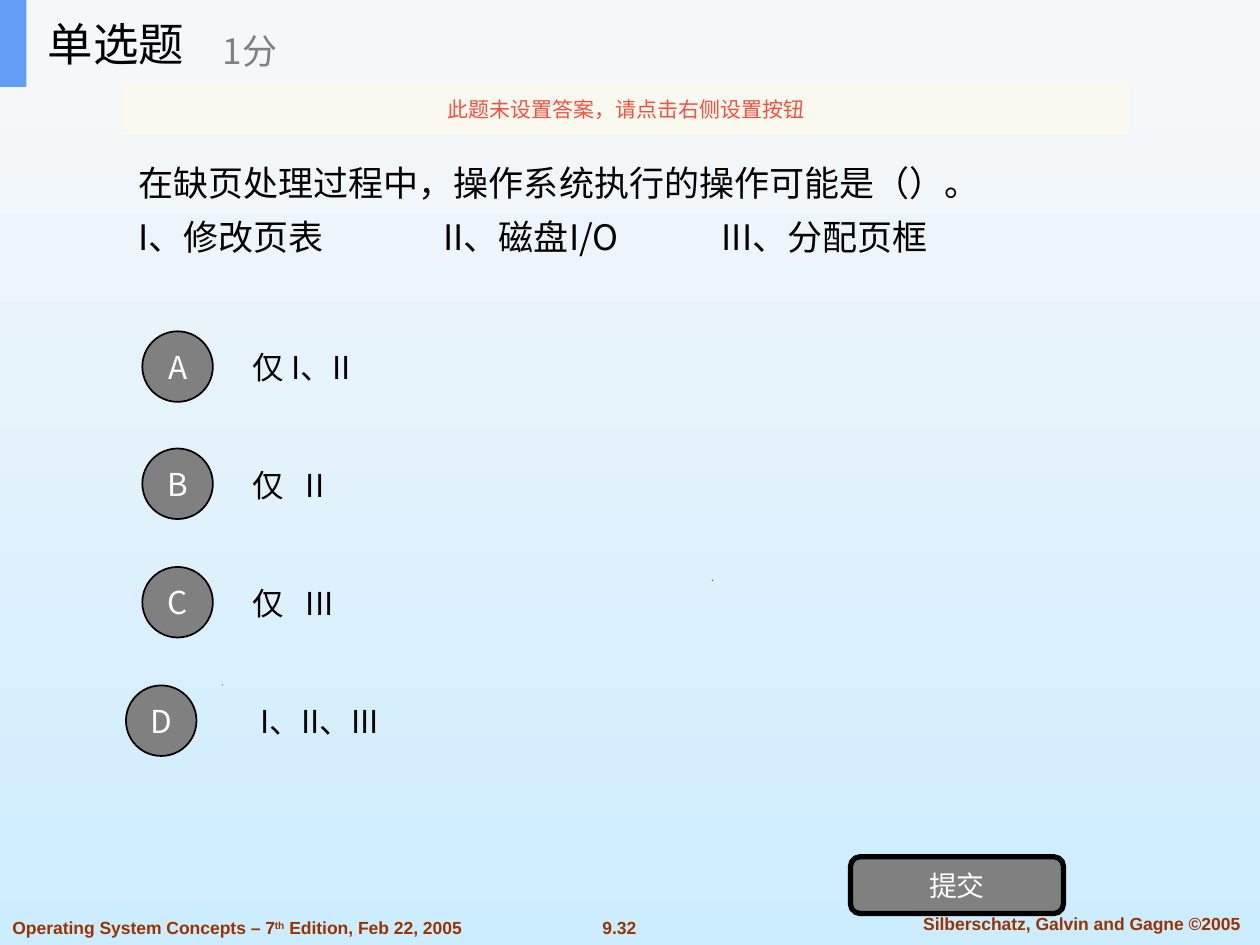
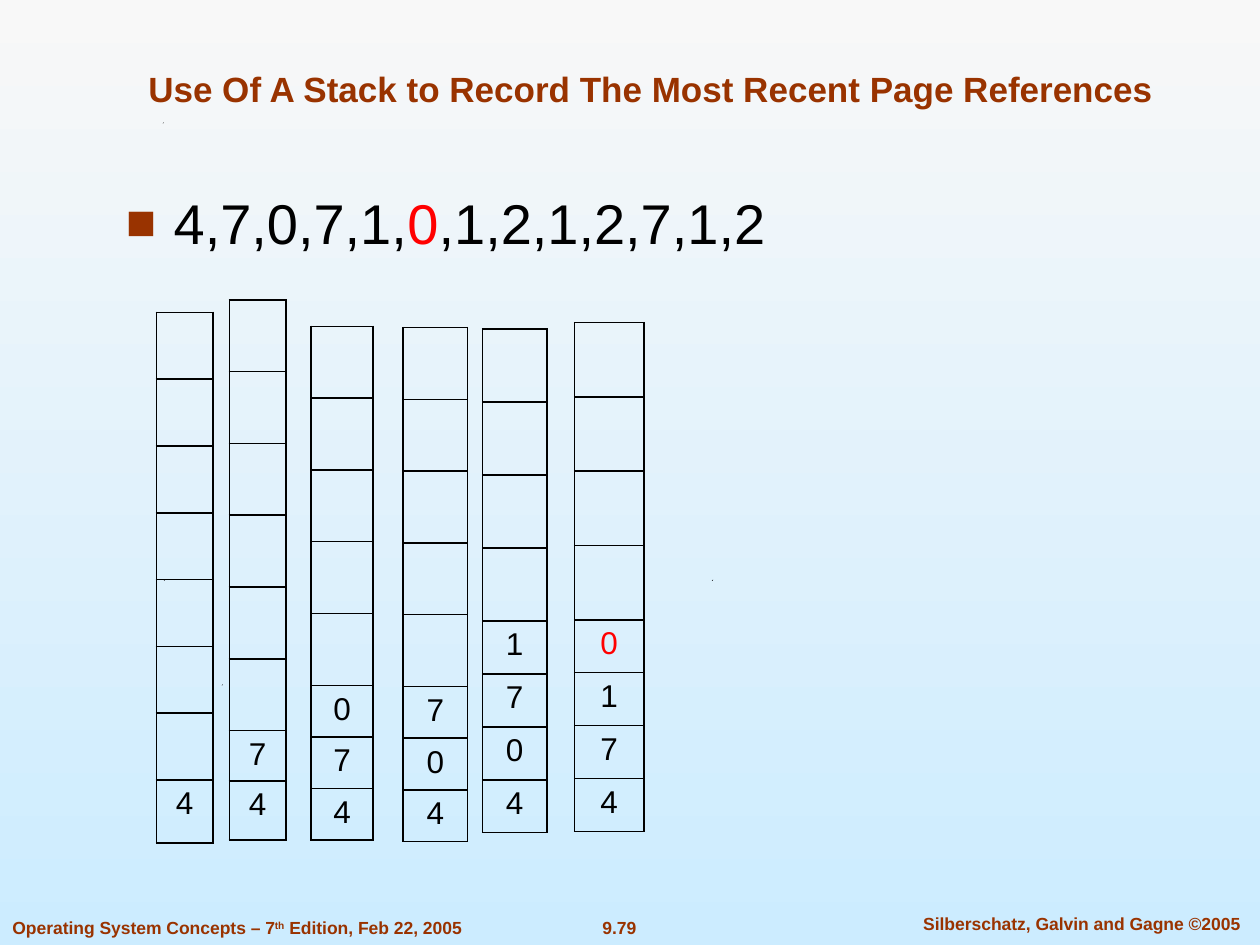
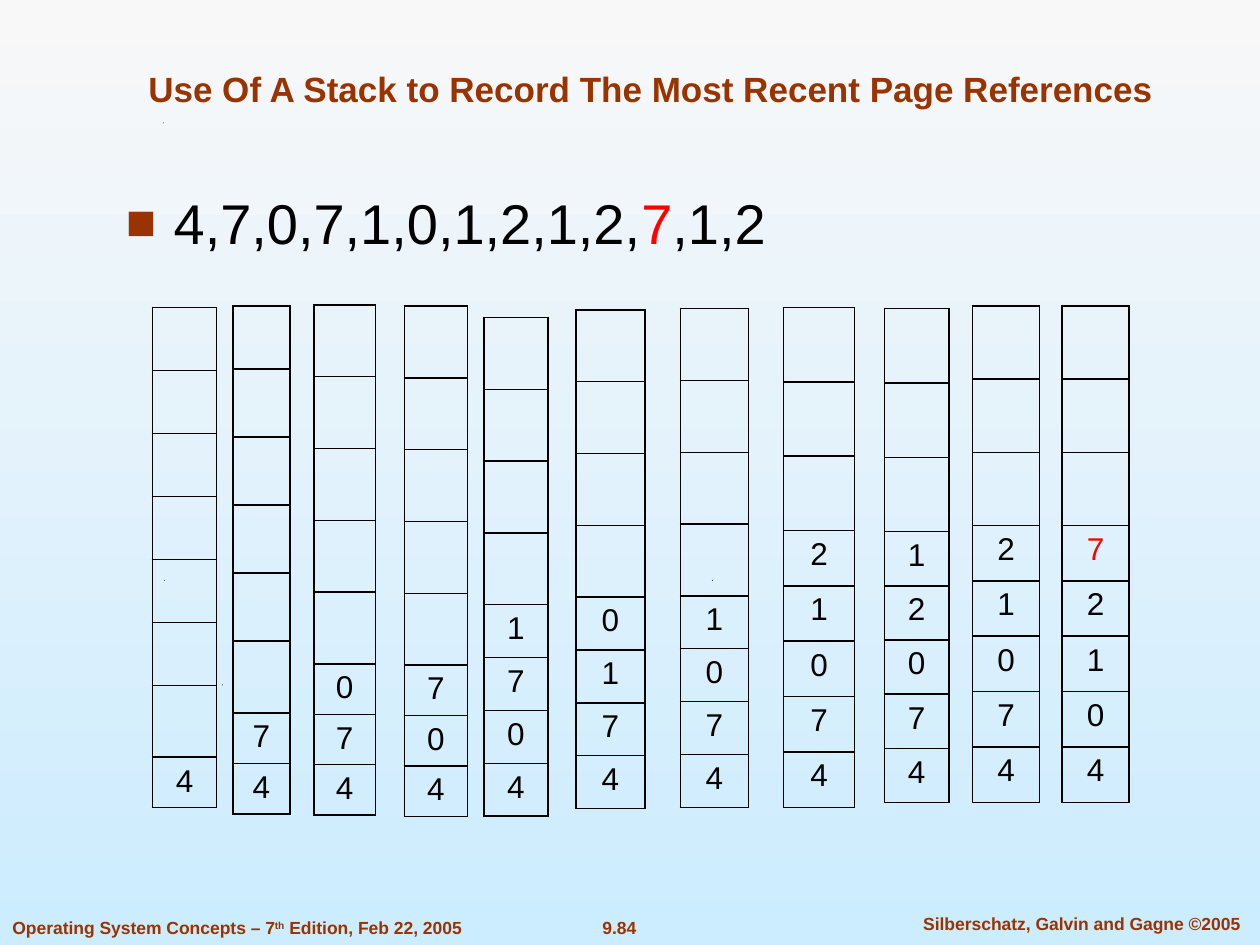
from dataclasses import dataclass, field
from typing import Any

from lxml.etree import SubElement
from pptx import Presentation
from pptx.dml.color import RGBColor
from pptx.enum.shapes import MSO_SHAPE as Shape
from pptx.enum.text import MSO_ANCHOR as Anchor, PP_ALIGN as Align
from pptx.oxml import parse_xml
from pptx.oxml.ns import nsdecls, qn
from pptx.util import Inches, Pt

LATIN, CJK = "Arial", "Noto Sans CJK SC"
BLACK, WHITE, GRAY, RED, RUST = "000000", "FFFFFF", "808080", "FF0000", "993300"
SKY_TOP, SKY_BOTTOM = "F8F8F8", "CCECFF"
BAND, ACCENT, NOTICE_FILL, NOTICE_TEXT = "F6F7F8", "639EF4", "FBFAEF", "F84F41"

REFERENCES = [4, 7, 0, 7, 1, 0, 1, 2, 1, 2, 7, 1, 2]
STACK_ROWS = 8
STACK_TITLE = "Use Of A Stack to Record The Most Recent Page References"
SPECKS = [(1.76, 5.43), (1.3, 4.6), (5.65, 4.6), (1.29, 0.97)]


@dataclass(frozen=True)
class Box:
    left: float
    top: float
    width: float
    height: float

    def emu(self) -> list[int]:
        return [Inches(v) for v in (self.left, self.top, self.width, self.height)]


@dataclass(frozen=True)
class Style:
    size: float
    font: str = LATIN
    color: str = BLACK
    bold: bool = False


@dataclass(frozen=True)
class Option:
    letter: str
    badge_left: float
    badge_top: float
    answer: str
    indent: float = 0


@dataclass(frozen=True)
class Stack:
    """Place of one stack; odd_rows holds the rows that break the two heights."""
    left: float
    top: float
    width: float
    empty_height: float
    filled_height: float
    odd_rows: dict[int, float] = field(default_factory=dict)


@dataclass(frozen=True)
class StackSlide:
    number: str
    stacks: list[Stack]


FOOTER = Style(10, color=RUST, bold=True)
TITLE = Style(20, color=RUST, bold=True)
SEQUENCE = Style(32)
PAGE = Style(18)
ANSWER = Style(18, CJK)
BADGE = Style(18, CJK, WHITE)

QUESTION = [
    "在缺页处理过程中，操作系统执行的操作可能是（）。",
    "I、修改页表\tII、磁盘I/O\tIII、分配页框",
]
OPTIONS = [
    Option("A", 1.13, 2.63, "仅 I、II"),
    Option("B", 1.13, 3.56, "仅\tII"),
    Option("C", 1.13, 4.5, "仅\tIII"),
    Option("D", 1, 5.44, "I、II、III", indent=0.06),
]
STACK_SLIDES = [
    StackSlide("9.79", [
        Stack(1.24, 2.48, 0.45, 0.53, 0.5),
        Stack(1.82, 2.38, 0.45, 0.57, 0.4, {7: 0.47}),
        Stack(2.47, 2.59, 0.49, 0.57, 0.41),
        Stack(3.2, 2.6, 0.51, 0.57, 0.41),
        Stack(3.83, 2.61, 0.51, 0.58, 0.42),
        Stack(4.56, 2.56, 0.55, 0.59, 0.42),
    ]),
    StackSlide("9.84", [
        Stack(1.21, 2.44, 0.51, 0.5, 0.4, {6: 0.57}),
        Stack(1.85, 2.43, 0.45, 0.54, 0.4, {0: 0.5, 5: 0.57}),
        Stack(2.49, 2.42, 0.49, 0.57, 0.4),
        Stack(3.21, 2.43, 0.5, 0.57, 0.4),
        Stack(3.84, 2.52, 0.51, 0.57, 0.42),
        Stack(4.57, 2.46, 0.55, 0.57, 0.42),
        Stack(5.4, 2.45, 0.54, 0.57, 0.42),
        Stack(6.22, 2.44, 0.56, 0.59, 0.44),
        Stack(7.02, 2.45, 0.51, 0.59, 0.43),
        Stack(7.72, 2.43, 0.53, 0.58, 0.44),
        Stack(8.43, 2.43, 0.53, 0.58, 0.44),
    ]),
]


def rgb(color: str) -> RGBColor:
    return RGBColor.from_string(color)


def apply(target: Any, values: dict[str, Any]) -> None:
    for name, value in values.items():
        setattr(target, name, value)


def add_run(paragraph, text: str, style: Style, color: str | None = None):
    run = paragraph.add_run()
    run.text = text
    apply(run.font, {"name": style.font, "size": Pt(style.size), "bold": style.bold})
    run.font.color.rgb = rgb(color or style.color)
    SubElement(run.font._element, qn("a:ea"), typeface=style.font)
    return run


def add_tabs(paragraph, *stops: float) -> None:
    tabs = SubElement(paragraph._p.get_or_add_pPr(), qn("a:tabLst"))
    for stop in stops:
        SubElement(tabs, qn("a:tab"), pos=str(Inches(stop)), algn="l")


def add_text(slide, box: Box, text: str, style: Style,
             align=Align.LEFT, anchor=Anchor.MIDDLE):
    """Add a one-paragraph text box and return its frame."""
    frame = slide.shapes.add_textbox(*box.emu()).text_frame
    apply(frame, {"word_wrap": True, "vertical_anchor": anchor})
    paragraph = frame.paragraphs[0]
    paragraph.alignment = align
    if text:
        add_run(paragraph, text, style)
    return frame


def add_panel(slide, kind, box: Box, fill: str, line_width: float = 0,
              label: str = "", style: Style = BADGE):
    panel = slide.shapes.add_shape(kind, *box.emu())
    panel.shadow.inherit = False
    panel.fill.solid()
    panel.fill.fore_color.rgb = rgb(fill)
    if line_width:
        panel.line.color.rgb = rgb(BLACK)
        panel.line.width = Pt(line_width)
    else:
        panel.line.fill.background()
    if label:
        frame = panel.text_frame
        apply(frame, {"word_wrap": True, "vertical_anchor": Anchor.MIDDLE,
                      "margin_left": 0, "margin_right": 0})
        frame.paragraphs[0].alignment = Align.CENTER
        add_run(frame.paragraphs[0], label, style)
    return panel


def set_background(deck) -> None:
    fill = deck.slide_master.background.fill
    fill.gradient()
    fill.gradient_angle = 270
    for stop, position, color in zip(fill.gradient_stops, (0, 1), (SKY_TOP, SKY_BOTTOM)):
        stop.position = position
        stop.color.rgb = rgb(color)


def add_page(deck, number: str):
    """Add a blank slide with the shared footer and specks."""
    slide = deck.slides.add_slide(deck.slide_layouts[6])
    add_text(slide, Box(4.62, 7.23, 0.59, 0.27), number, FOOTER, Align.CENTER, Anchor.TOP)
    for left, top in SPECKS:
        x, y, side = Inches(left), Inches(top), Inches(0.01)
        outline = slide.shapes.build_freeform(x, y + side)
        outline.add_line_segments([(x + side, y), (x + side // 2, y + side)])
        speck = outline.convert_to_shape()
        speck.shadow.inherit = False
        speck.fill.solid()
        speck.fill.fore_color.rgb = rgb(BLACK)
        speck.line.fill.background()
    add_text(slide, Box(7.1, 7.2, 2.97, 0.27), "Silberschatz, Galvin and Gagne ©2005",
             FOOTER, Align.CENTER, Anchor.TOP)
    edition = add_text(slide, Box(0, 7.23, 3.78, 0.27), "Operating System Concepts – 7",
                       FOOTER, anchor=Anchor.TOP).paragraphs[0]
    add_run(edition, "th", FOOTER).font._element.set("baseline", "30000")
    add_run(edition, " Edition, Feb 22, 2005", FOOTER)
    return slide


def add_question_header(slide) -> None:
    add_panel(slide, Shape.RECTANGLE, Box(0, 0, 10, 0.69), BAND)
    add_panel(slide, Shape.RECTANGLE, Box(0, 0, 0.21, 0.69), ACCENT)
    add_text(slide, Box(0.28, 0, 2.08, 0.69), "单选题", Style(26, CJK))
    add_text(slide, Box(1.67, 0.12, 2.5, 0.56), "1分", Style(20, CJK, GRAY))
    notice = add_panel(slide, Shape.RECTANGLE, Box(0.97, 0.67, 8, 0.4), NOTICE_FILL,
                       label="此题未设置答案，请点击右侧设置按钮",
                       style=Style(12, CJK, NOTICE_TEXT))
    tint = notice._element.spPr.find(qn("a:solidFill"))[0]
    SubElement(tint, qn("a:alpha"), val="90000")


def add_question_slide(deck) -> None:
    slide = add_page(deck, "9.32")
    stem = Style(20, CJK)
    frame = add_text(slide, Box(1, 0.93, 7.87, 1.46), QUESTION[0], stem)
    choices = frame.add_paragraph()
    add_tabs(choices, 2.42, 4.63)
    add_run(choices, QUESTION[1], stem)
    choices.space_before = Pt(6)
    for paragraph in frame.paragraphs:
        paragraph.line_spacing = Pt(24.5)

    for row, option in enumerate(OPTIONS):
        answer = add_text(slide, Box(1.91, 2.56 + row * 0.937, 7, 0.7), option.answer, ANSWER)
        paragraph = answer.paragraphs[0]
        add_tabs(paragraph, 0.42)
        paragraph._p.get_or_add_pPr().set("marL", str(Inches(option.indent)))
        add_panel(slide, Shape.OVAL, Box(option.badge_left, option.badge_top, 0.56, 0.56),
                  GRAY, 1, option.letter)
    add_panel(slide, Shape.ROUNDED_RECTANGLE, Box(6.75, 6.8, 1.69, 0.45), GRAY, 3,
              "提交", Style(16, CJK, WHITE))
    add_question_header(slide)


def add_sequence(slide, current: int) -> None:
    """Write the reference string with the current reference in red."""
    frame = add_text(slide, Box(0.9, 1.4, 8.04, 0.73), "", SEQUENCE, anchor=Anchor.TOP)
    frame.margin_top = Inches(0.1)
    paragraph = frame.paragraphs[0]
    properties = paragraph._p.get_or_add_pPr()
    properties.set("marL", str(Inches(0.38)))
    properties.set("indent", str(-Inches(0.38)))
    SubElement(SubElement(properties, qn("a:buClr")), qn("a:srgbClr"), val=RUST)
    SubElement(properties, qn("a:buSzPct"), val="90000")
    SubElement(properties, qn("a:buFont"), typeface=LATIN)
    SubElement(properties, qn("a:buChar"), char="■")
    pages = [str(page) for page in REFERENCES]
    add_run(paragraph, ",".join(pages[:current]) + ",", SEQUENCE)
    add_run(paragraph, pages[current], SEQUENCE, RED)
    add_run(paragraph, "," + ",".join(pages[current + 1:]), SEQUENCE)


def recent_pages(count: int) -> list[int]:
    """Return the stack, most recent page first, after count references."""
    pages: list[int] = []
    for page in REFERENCES[:count]:
        pages = [page] + [other for other in pages if other != page]
    return pages


def add_borders(cell) -> None:
    properties = cell._tc.get_or_add_tcPr()
    for index, side in enumerate("LRTB"):
        properties.insert(index, parse_xml(
            f'<a:ln{side} {nsdecls("a")} w="{Pt(1)}"><a:solidFill>'
            f'<a:srgbClr val="{BLACK}"/></a:solidFill></a:ln{side}>'))


def add_stack(slide, stack: Stack, pages: list[int], top_color: str) -> None:
    empty = STACK_ROWS - len(pages)
    heights = [stack.odd_rows.get(row, stack.empty_height if row < empty else stack.filled_height)
               for row in range(STACK_ROWS)]
    box = Box(stack.left, stack.top, stack.width, sum(heights))
    table = slide.shapes.add_table(STACK_ROWS, 1, *box.emu()).table
    apply(table, {"first_row": False, "horz_banding": False})
    for row, height in enumerate(heights):
        table.rows[row].height = Inches(height)
        cell = table.cell(row, 0)
        cell.fill.background()
        add_borders(cell)
        if row >= empty:
            paragraph = cell.text_frame.paragraphs[0]
            paragraph.alignment = Align.CENTER
            add_run(paragraph, str(pages[row - empty]), PAGE,
                    top_color if row == empty else BLACK)


def add_stack_slide(deck, content: StackSlide) -> None:
    slide = add_page(deck, content.number)
    add_text(slide, Box(0.75, 0.25, 8.83, 0.67), STACK_TITLE, TITLE, Align.CENTER, Anchor.BOTTOM)
    steps = len(content.stacks)
    add_sequence(slide, steps - 1)
    for step, stack in enumerate(content.stacks, start=1):
        add_stack(slide, stack, recent_pages(step), RED if step == steps else BLACK)


def main() -> None:
    deck = Presentation()
    apply(deck, {"slide_width": Inches(10), "slide_height": Inches(7.5)})
    set_background(deck)
    add_question_slide(deck)
    for content in STACK_SLIDES:
        add_stack_slide(deck, content)
    deck.save("out.pptx")


if __name__ == "__main__":
    main()
